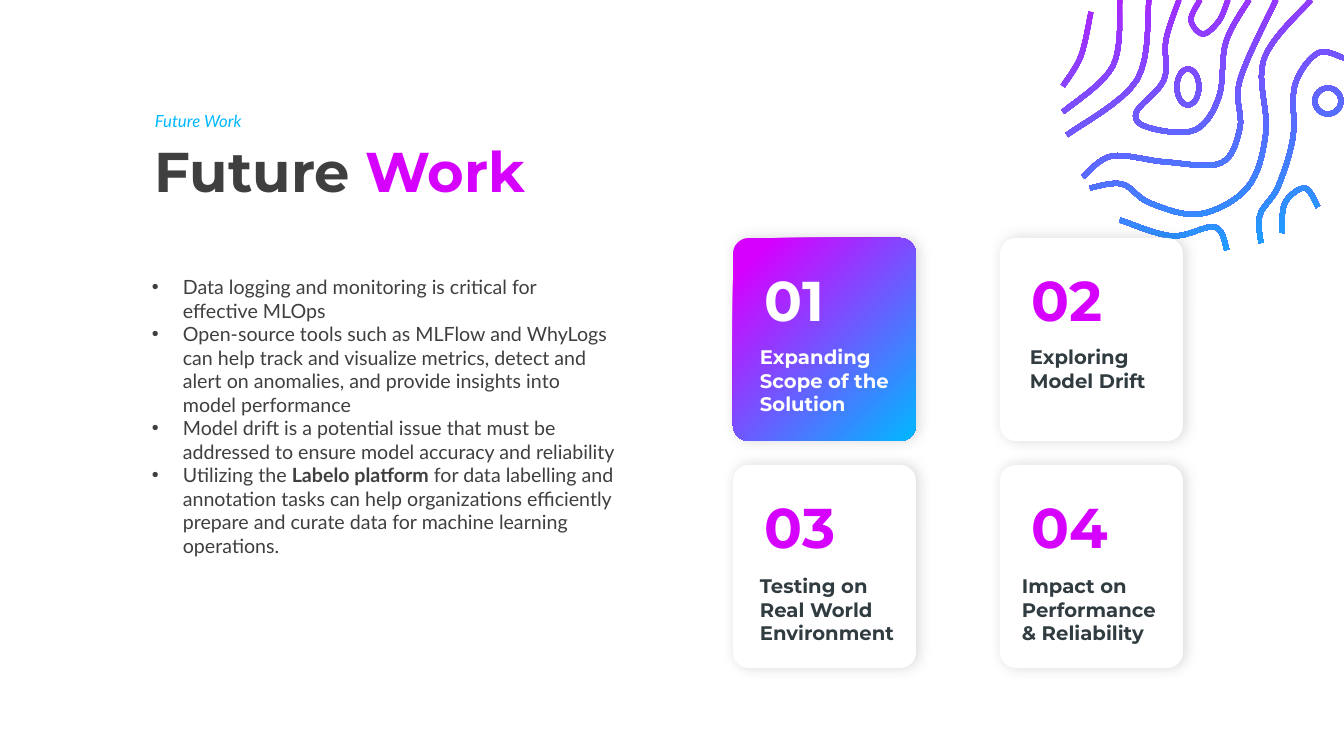
from dataclasses import dataclass
from itertools import product
from math import cos, hypot, sin, tau

from lxml.etree import SubElement
from pptx import Presentation
from pptx.dml.color import RGBColor
from pptx.enum.shapes import MSO_SHAPE as Preset
from pptx.enum.text import MSO_ANCHOR as Anchor
from pptx.oxml.ns import qn
from pptx.util import Emu, Pt

EMU_PER_PX = 914400 / 100.8
MAGENTA, CYAN, WHITE = "D600FF", "00B8FF", "FFFFFF"
GREY, SLATE = "3F3F3F", "313C41"
STROKE = 5
CURVE_STEPS = 8

Point = tuple[float, float]


@dataclass
class Run:
    text: str
    color: str
    bold: bool = False


@dataclass
class Style:
    font: str
    size: int
    bold: bool = False
    italic: bool = False
    bullet: bool = False
    spacing: float = 1.0


@dataclass
class Card:
    label: str
    label_inset: int
    label_width: int
    highlighted: bool = False


@dataclass
class Ring:
    x: int
    y: int
    radius_x: int
    radius_y: int


EYEBROW = Style("Lato", 12, italic=True, spacing=0.9)
TITLE = Style("Montserrat", 40, bold=True, spacing=0.9)
BODY = Style("Lato", 14, bullet=True)
NUMBER = Style("Montserrat", 40, bold=True)
LABEL = Style("Montserrat", 14, bold=True)

BULLETS = [
    [Run("Data logging and monitoring is critical for effective MLOps", GREY)],
    [Run("Open-source tools such as MLFlow and WhyLogs can help track and visualize metrics, "
         "detect and alert on anomalies, and provide insights into model performance", GREY)],
    [Run("Model drift is a potential issue that must be addressed to ensure model accuracy "
         "and reliability", GREY)],
    [Run("Utilizing the ", GREY), Run("Labelo platform ", GREY, bold=True),
     Run("for data labelling and annotation tasks can help organizations efficiently prepare "
         "and curate data for machine learning operations.", GREY)],
]

CARDS = [
    Card("Expanding Scope of the Solution", 17, 153, highlighted=True),
    Card("Exploring Model Drift", 20, 142),
    Card("Testing on Real World Environment", 17, 166),
    Card("Impact on Performance & Reliability", 12, 160),
]

RINGS = [Ring(1328, 101, 13, 13), Ring(1188, 87, 11, 18)]
WAVES: list[list[Point]] = [
    [(1200, 0), (1191, 20), (1203, 34), (1219, 21), (1228, 0)],
    [(1179, 0), (1166, 40), (1164, 80), (1136, 113), (1150, 128), (1195, 130), (1219, 97),
     (1226, 42), (1249, 0)],
    [(1063, 86), (1081, 56), (1091, 12)],
    [(1063, 112), (1113, 66), (1120, 0)],
    [(1067, 135), (1137, 80), (1149, 0)],
    [(1083, 177), (1112, 156), (1166, 162), (1221, 163), (1240, 128), (1240, 80), (1276, 0)],
    [(1090, 188), (1122, 184), (1150, 203), (1200, 214), (1248, 187), (1266, 132), (1264, 59),
     (1311, 0)],
    [(1120, 220), (1172, 236), (1215, 227), (1227, 250)],
    [(1261, 243), (1260, 215), (1278, 187), (1293, 138), (1295, 85), (1318, 53), (1344, 58)],
    [(1282, 233), (1285, 203), (1305, 188), (1318, 207)],
]


def emu(px: float) -> Emu:
    return Emu(round(px * EMU_PER_PX))


def rgb(color: str) -> RGBColor:
    return RGBColor.from_string(color)


def add_text(page, left: int, top: int, width: int, height: int,
             paragraphs: list[list[Run]], style: Style, anchor=Anchor.TOP) -> None:
    box = page.shapes.add_textbox(emu(left), emu(top), emu(width), emu(height))
    frame = box.text_frame
    frame.word_wrap = True
    frame.vertical_anchor = anchor
    for index, runs in enumerate(paragraphs):
        para = frame.add_paragraph() if index else frame.paragraphs[0]
        para.line_spacing = style.spacing
        if style.bullet:
            props = para._p.get_or_add_pPr()
            props.set("marL", str(emu(31)))
            props.set("indent", str(emu(-31)))
            SubElement(props, qn("a:buFont"), typeface="Arial")
            SubElement(props, qn("a:buChar"), char="•")
        para.font.name = style.font
        para.font.size = Pt(style.size)
        para.font.italic = style.italic
        for run in runs:
            span = para.add_run()
            span.text = run.text
            span.font.bold = style.bold or run.bold
            span.font.color.rgb = rgb(run.color)


def fill_gradient(shape, start: str, end: str, angle: int, first_stop: float = 0) -> None:
    """Fill with two colours; the angle is clockwise from left to right."""
    shape.fill.gradient()
    shape.fill.gradient_angle = 360 - angle
    first, last = shape.fill.gradient_stops
    first.color.rgb, last.color.rgb = rgb(start), rgb(end)
    first.position, last.position = first_stop, 1


def add_soft_shadow(shape) -> None:
    effects = SubElement(shape._element.spPr, qn("a:effectLst"))
    shadow = SubElement(effects, qn("a:outerShdw"), blurRad=str(Pt(10)), dist=str(Pt(2)),
                        dir="0", algn="ctr", rotWithShape="0")
    color = SubElement(shadow, qn("a:srgbClr"), val="000000")
    SubElement(color, qn("a:alpha"), val="15000")


def add_card(page, index: int, card: Card) -> None:
    row, column = divmod(index, 2)
    left, top = 733 + 267 * column, 238 + 227 * row
    tile = page.shapes.add_shape(Preset.ROUNDED_RECTANGLE, emu(left), emu(top),
                                 emu(183), emu(203))
    tile.adjustments[0] = 0.086
    tile.line.fill.background()
    if card.highlighted:
        fill_gradient(tile, MAGENTA, CYAN, 45, first_stop=0.1)
    else:
        tile.fill.solid()
        tile.fill.fore_color.rgb = rgb(WHITE)
    add_soft_shadow(tile)
    label_color, number_color = (WHITE, WHITE) if card.highlighted else (SLATE, MAGENTA)
    add_text(page, left + card.label_inset, top + 102 + 2 * row, card.label_width, 82,
             [[Run(card.label, label_color)]], LABEL)
    add_text(page, left + 22, top + 23, 100, 78,
             [[Run(f"{index + 1:02}", number_color)]], NUMBER)


def smooth(points: list[Point]) -> list[Point]:
    """Sample a Catmull-Rom curve through the points of a wave."""
    padded = [points[0], *points, points[-1]]
    curve = []
    for index, step in product(range(len(points) - 1), range(CURVE_STEPS)):
        t = step / CURVE_STEPS
        curve.append(tuple(
            b + t * (c - a) / 2 + t**2 * (2 * a - 5 * b + 4 * c - d) / 2
            + t**3 * (3 * b - a - 3 * c + d) / 2
            for a, b, c, d in zip(*padded[index:index + 4])))
    return [*curve, points[-1]]


def wave_outline(points: list[Point]) -> list[Point]:
    """Return the contour of a band of even width along a wave."""
    curve = smooth(points)
    left, right = [], []
    for (x, y), (x0, y0), (x1, y1) in zip(curve, [curve[0], *curve], [*curve[1:], curve[-1]]):
        reach = STROKE / 2 / hypot(x1 - x0, y1 - y0)
        dx, dy = (y0 - y1) * reach, (x1 - x0) * reach
        left.append((x + dx, y + dy))
        right.append((x - dx, y - dy))
    return left + right[::-1]


def ring_outline(ring: Ring, side: int) -> list[Point]:
    """Return the outer (side 1) or inner (side -1) edge of a ring."""
    grow, count = side * STROKE / 2, 4 * CURVE_STEPS
    angles = [side * tau * step / count for step in range(count)]
    return [(ring.x + (ring.radius_x + grow) * cos(angle),
             ring.y + (ring.radius_y + grow) * sin(angle)) for angle in angles]


def add_waves(page) -> None:
    outlines = [wave_outline(points) for points in WAVES]
    outlines += [ring_outline(ring, side) for ring, side in product(RINGS, (1, -1))]
    contours = [[(emu(x), emu(y)) for x, y in outline] for outline in outlines]
    builder = page.shapes.build_freeform(*contours[0][0])
    for index, contour in enumerate(contours):
        if index:
            builder.move_to(*contour[0])
        builder.add_line_segments(contour[1:], close=True)
    pattern = builder.convert_to_shape()
    pattern.shadow.inherit = False
    pattern.line.fill.background()
    fill_gradient(pattern, "B120FF", "10AAFF", 75)


def main() -> None:
    deck = Presentation()
    deck.slide_width, deck.slide_height = emu(1344), emu(756)
    page = deck.slides.add_slide(deck.slide_layouts[6])
    add_waves(page)
    add_text(page, 145, 111, 1159, 126, [[Run("Future ", GREY), Run("Work", MAGENTA)]],
             TITLE, Anchor.MIDDLE)
    add_text(page, 145, 108, 423, 29, [[Run("Future Work", CYAN)]], EYEBROW)
    add_text(page, 142, 270, 484, 295, BULLETS, BODY)
    for index, card in enumerate(CARDS):
        add_card(page, index, card)
    deck.save("out.pptx")


if __name__ == "__main__":
    main()
